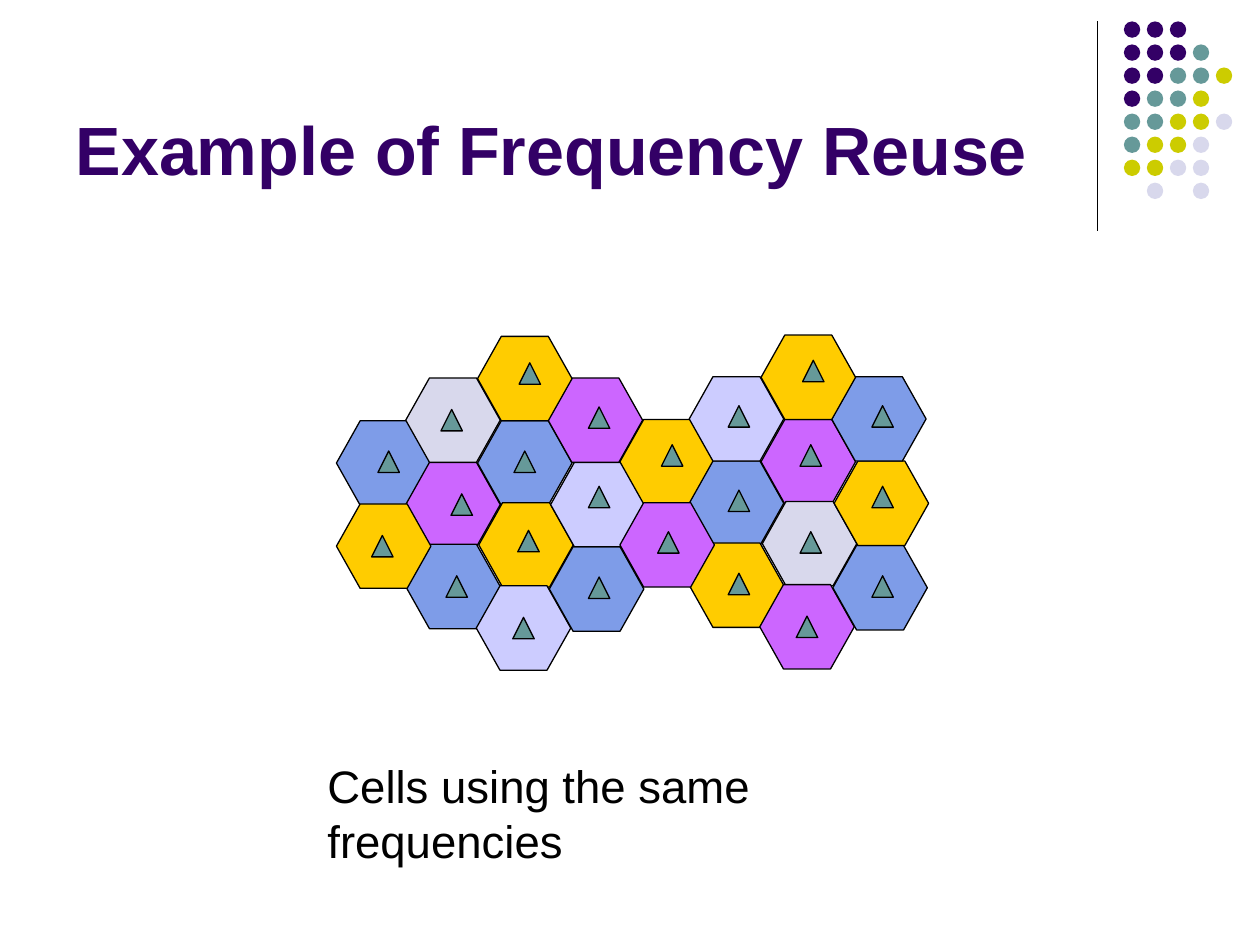
from lxml import etree
from pptx import Presentation
from pptx.dml.color import RGBColor
from pptx.enum.shapes import MSO_CONNECTOR, MSO_SHAPE
from pptx.enum.text import MSO_ANCHOR, MSO_AUTO_SIZE, PP_ALIGN
from pptx.oxml.ns import qn
from pptx.util import Inches, Pt

BLACK = RGBColor(0x00, 0x00, 0x00)
INDIGO = RGBColor(0x33, 0x00, 0x66)
TEAL = RGBColor(0x66, 0x99, 0x99)
OLIVE = RGBColor(0xCC, 0xCC, 0x00)
MIST = RGBColor(0xD8, 0xD8, 0xEC)
BLUE = RGBColor(0x7E, 0x9C, 0xE8)
PURPLE = RGBColor(0xCC, 0x66, 0xFF)
GOLD = RGBColor(0xFF, 0xCC, 0x00)
LILAC = RGBColor(0xCC, 0xCC, 0xFF)

prs = Presentation()
prs.slide_width, prs.slide_height = Inches(10), Inches(7.5)
slide = prs.slides.add_slide(prs.slide_layouts[5])


def write(frame, text, size, color, bold=False, anchor=MSO_ANCHOR.TOP, wrap=True):
    frame.word_wrap = wrap
    frame.vertical_anchor = anchor
    paragraph = frame.paragraphs[0]
    paragraph.alignment = PP_ALIGN.LEFT
    run = paragraph.add_run()
    run.text = text
    run.font.name, run.font.size, run.font.bold = "Arial", Pt(size), bold
    run.font.color.rgb = color


def draw(kind, left, top, width, height, color, outlined=True):
    shape = slide.shapes.add_shape(
        kind, Inches(left), Inches(top), Inches(width), Inches(height))
    shape.shadow.inherit = False
    shape.fill.solid()
    shape.fill.fore_color.rgb = color
    if outlined:
        shape.line.color.rgb = BLACK
        shape.line.width = Pt(0.75)
    else:
        shape.line.fill.background()
    return shape


# Rule beside the title
rule = slide.shapes.add_connector(
    MSO_CONNECTOR.STRAIGHT, Inches(8.71), Inches(0.17), Inches(8.71), Inches(1.83))
rule.line.color.rgb = BLACK
rule.line.width = Pt(0.75)
etree.SubElement(rule._element.spPr, qn("a:effectLst"))

# Corner dots, one letter per colour
dot_colors = {"I": INDIGO, "T": TEAL, "O": OLIVE, "M": MIST}
dot_rows = ["III", "IIIT", "IITTO", "ITTO", "TTOOM", "TOOM", "OOMM", ".M.M"]
for row, letters in enumerate(dot_rows):
    for column, letter in enumerate(letters):
        if letter in dot_colors:
            draw(MSO_SHAPE.OVAL, 8.92 + column * 0.73 / 4, 0.17 + row * 1.28 / 7,
                 0.13, 0.13, dot_colors[letter], outlined=False)

# Title
title = slide.shapes.title
title.left, title.top = Inches(0.5), Inches(0.13)
title.width, title.height = Inches(8.25), Inches(1.42)
write(title.text_frame, "Example of Frequency Reuse", 39, INDIGO,
      bold=True, anchor=MSO_ANCHOR.BOTTOM)

# Cells: position in the left cluster, colour in the left and right clusters
cells = [
    (2.67, 3.34, BLUE, GOLD), (3.22, 3.67, PURPLE, BLUE),
    (3.22, 3.00, MIST, LILAC), (3.79, 3.34, BLUE, PURPLE),
    (3.80, 3.99, GOLD, MIST), (3.22, 4.32, BLUE, GOLD),
    (2.67, 4.00, GOLD, PURPLE), (3.78, 4.65, LILAC, PURPLE),
    (4.36, 4.34, BLUE, BLUE), (4.37, 3.67, LILAC, GOLD),
    (4.35, 3.00, PURPLE, BLUE), (3.79, 2.67, GOLD, GOLD),
]
for cluster in range(2):
    for left, top, *colors in cells:
        cell = draw(MSO_SHAPE.HEXAGON, left + 2.25 * cluster, top - 0.01 * cluster,
                    0.75, 0.67, colors[cluster])
        cell.adjustments[0] = 0.281

# Base stations, set by hand inside the cells
stations = [
    (2.95, 4.25), (3.00, 3.58), (3.50, 3.25), (3.58, 3.92), (3.54, 4.57), (4.07, 4.90),
    (4.11, 4.21), (4.08, 3.58), (4.12, 2.88), (4.67, 3.23), (4.67, 3.86), (4.67, 4.58),
    (5.22, 4.22), (5.25, 3.53), (5.78, 3.22), (5.78, 3.89), (5.78, 4.55), (6.32, 4.89),
    (6.35, 4.22), (6.35, 3.53), (6.37, 2.86), (6.92, 3.22), (6.92, 3.86), (6.92, 4.57),
]
for left, top in stations:
    draw(MSO_SHAPE.ISOSCELES_TRIANGLE, left, top, 0.17, 0.17, TEAL)

# Caption
caption = slide.shapes.add_textbox(Inches(2.5), Inches(5.97), Inches(5.52), Inches(0.54))
write(caption.text_frame, "Cells using the same frequencies", 26, BLACK, wrap=False)
caption.text_frame.auto_size = MSO_AUTO_SIZE.SHAPE_TO_FIT_TEXT

prs.save("out.pptx")
